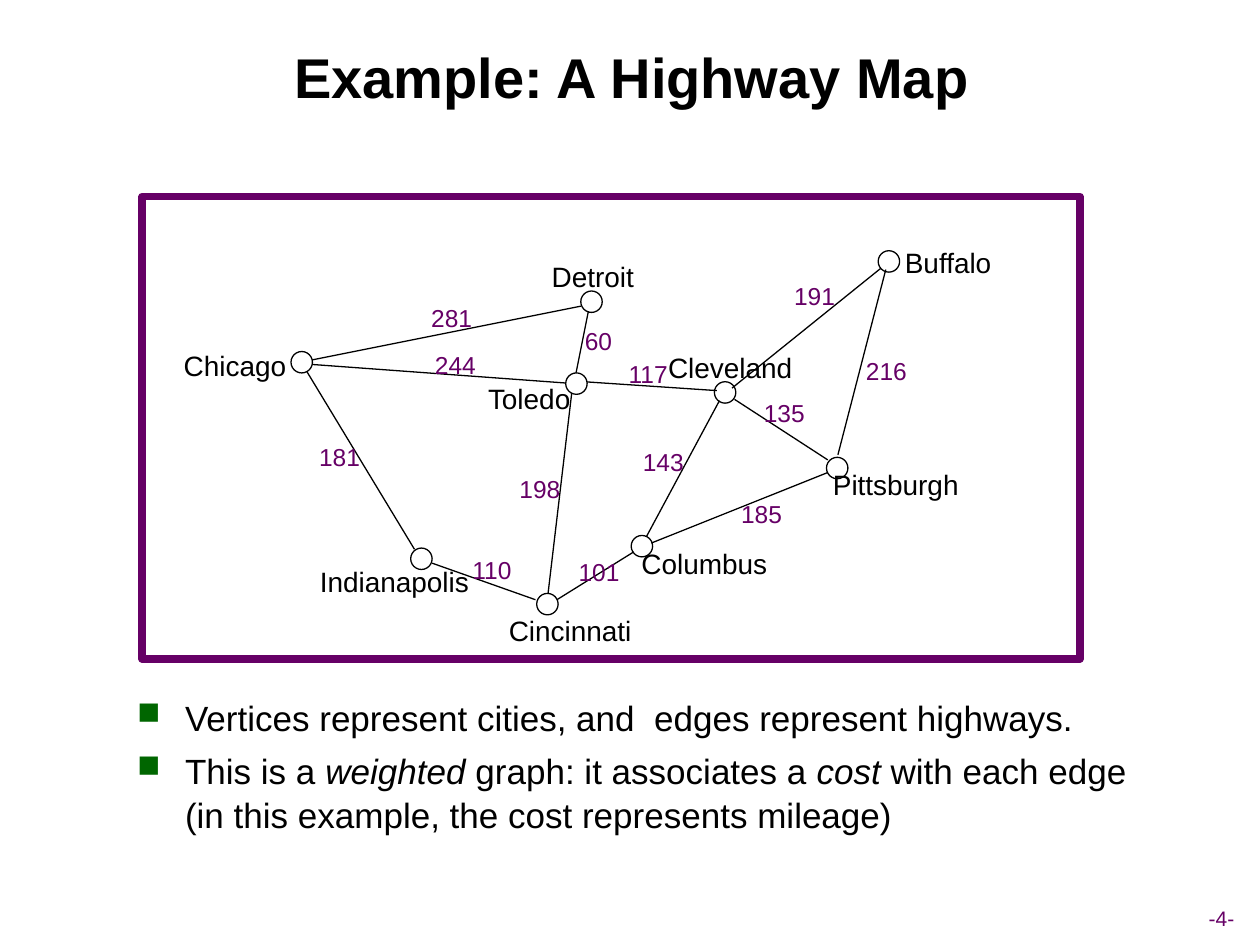
from dataclasses import dataclass

from lxml import etree
from pptx import Presentation
from pptx.dml.color import RGBColor
from pptx.enum.shapes import MSO_CONNECTOR as Connector, MSO_SHAPE as Shape
from pptx.enum.text import MSO_ANCHOR as Anchor, PP_ALIGN as Align
from pptx.oxml.ns import qn
from pptx.util import Inches, Pt


@dataclass(frozen=True)
class Theme:
    font: str = "Arial"
    ink: RGBColor = RGBColor(0x00, 0x00, 0x00)
    paper: RGBColor = RGBColor(0xFF, 0xFF, 0xFF)
    accent: RGBColor = RGBColor(0x66, 0x00, 0x66)
    bullet: str = "006600"
    title: int = 32
    body: int = 20
    city: int = 16
    cost: int = 14
    page: int = 12


theme = Theme()
presentation = Presentation()
presentation.slide_width = Inches(10)
presentation.slide_height = Inches(7.5)
slide = presentation.slides.add_slide(presentation.slide_layouts[6])


def set_font(paragraph, size, color=theme.ink):
    paragraph.font.name = theme.font
    paragraph.font.size = Pt(size)
    paragraph.font.color.rgb = color


def add_label(text, left, top, width, height, size, color=theme.ink, wrap=False):
    box = slide.shapes.add_textbox(Inches(left), Inches(top), Inches(width), Inches(height))
    box.text_frame.word_wrap = wrap
    paragraph = box.text_frame.paragraphs[0]
    paragraph.text = text
    paragraph.alignment = Align.CENTER
    set_font(paragraph, size, color)
    return box


# Title and page number
title = add_label("Example: A Highway Map", 0.38, 0.13, 9.27, 0.95, theme.title, wrap=True)
title.text_frame.vertical_anchor = Anchor.MIDDLE
title.text_frame.paragraphs[0].font.bold = True
page_number = add_label("-4-", 9.16, 7.14, 1.07, 0.3, theme.page, theme.accent)
page_number.text_frame.vertical_anchor = Anchor.MIDDLE

# Map frame
frame = slide.shapes.add_shape(
    Shape.RECTANGLE, Inches(1.13), Inches(1.56), Inches(7.44), Inches(3.67))
frame.shadow.inherit = False
frame.fill.background()
frame.line.color.rgb = theme.accent
frame.line.width = Pt(4.5)

# Highways: mileage, start, end, left and top of the mileage label
highways = [
    (117, (5.69, 3.10), (4.64, 3.03), (4.88, 2.80)),
    (191, (5.81, 3.08), (6.99, 2.13), (6.20, 2.18)),
    (135, (6.57, 3.65), (5.83, 3.17), (5.96, 3.11)),
    (281, (4.61, 2.43), (2.46, 2.86), (3.32, 2.36)),
    (143, (5.13, 4.26), (5.71, 3.18), (5.00, 3.50)),
    (110, (4.25, 4.76), (3.43, 4.47), (3.64, 4.36)),
    (101, (5.03, 4.38), (4.42, 4.76), (4.49, 4.37)),
    (181, (3.29, 4.36), (2.43, 2.94), (2.43, 3.46)),
    (216, (6.65, 3.61), (7.03, 2.14), (6.77, 2.78)),
    (185, (6.57, 3.75), (5.17, 4.31), (5.78, 3.91)),
    (60, (4.67, 2.47), (4.57, 2.97), (4.54, 2.54)),
    (198, (4.35, 4.71), (4.54, 3.10), (4.02, 3.71)),
    (244, (2.44, 2.89), (4.49, 3.04), (3.35, 2.73)),
]
for mileage, start, end, label_at in highways:
    highway = slide.shapes.add_connector(
        Connector.STRAIGHT, *(Inches(value) for value in start + end))
    highway.line.color.rgb = theme.ink
    highway.line.width = Pt(0.75)
    properties = highway.element.find(qn("p:spPr"))
    etree.SubElement(properties, qn("a:effectLst"))

# Cities: name, left and top of the node, left, top and width of the name, filled
cities = [
    ("Detroit", (4.61, 2.31), (4.28, 2.01, 0.85), False),
    ("Cleveland", (5.67, 3.03), (5.20, 2.73, 1.19), False),
    ("Columbus", (5.01, 4.25), (4.99, 4.29, 1.20), False),
    ("Cincinnati", (4.26, 4.71), (3.94, 4.82, 1.17), False),
    ("Pittsburgh", (6.56, 3.63), (6.51, 3.66, 1.20), False),
    ("Buffalo", (6.97, 1.99), (7.08, 1.90, 0.89), False),
    ("Indianapolis", (3.26, 4.35), (2.44, 4.43, 1.38), False),
    ("Toledo", (4.49, 2.96), (3.76, 2.98, 0.88), True),
    ("Chicago", (2.31, 2.79), (1.36, 2.72, 1.01), True),
]
for name, (left, top), name_at, filled in cities:
    node = slide.shapes.add_shape(
        Shape.OVAL, Inches(left), Inches(top), Inches(0.17), Inches(0.17))
    node.shadow.inherit = False
    if filled:
        node.fill.solid()
        node.fill.fore_color.rgb = theme.paper
    else:
        node.fill.background()
    node.line.color.rgb = theme.ink
    node.line.width = Pt(0.75)
    add_label(name, *name_at, 0.37, theme.city)

# Mileage labels, as wide as their digits
for mileage, start, end, label_at in highways:
    text = str(mileage)
    add_label(text, *label_at, 0.2 + 0.11 * len(text), 0.33, theme.cost, theme.accent)

# Explanation: each bullet is a list of (text, italic)
bullets = [
    [("Vertices represent cities, and  edges represent highways.", False)],
    [("This is a ", False), ("weighted ", True), ("graph: it associates a ", False),
     ("cost ", True),
     ("with each edge (in this example, the cost represents mileage)", False)],
]
body = slide.shapes.add_textbox(Inches(0.99), Inches(5.46), Inches(8.38), Inches(1.41))
body.text_frame.word_wrap = True
for index, runs in enumerate(bullets):
    paragraph = body.text_frame.add_paragraph() if index else body.text_frame.paragraphs[0]
    paragraph.space_before = Pt(5)
    paragraph.line_spacing = 1.05
    set_font(paragraph, theme.body)
    for text, italic in runs:
        run = paragraph.add_run()
        run.text = text
        if italic:
            run.font.italic = True
    # Square bullet, placed ahead of the default run properties
    properties = paragraph._p.get_or_add_pPr()
    properties.set("marL", str(Inches(0.38)))
    properties.set("indent", str(Inches(-0.38)))
    color = etree.Element(qn("a:buClr"))
    etree.SubElement(color, qn("a:srgbClr"), val=theme.bullet)
    size = etree.Element(qn("a:buSzPct"), val="90000")
    character = etree.Element(qn("a:buChar"), char="■")
    defaults = properties.find(qn("a:defRPr"))
    for element in (color, size, character):
        defaults.addprevious(element)

presentation.save("out.pptx")
